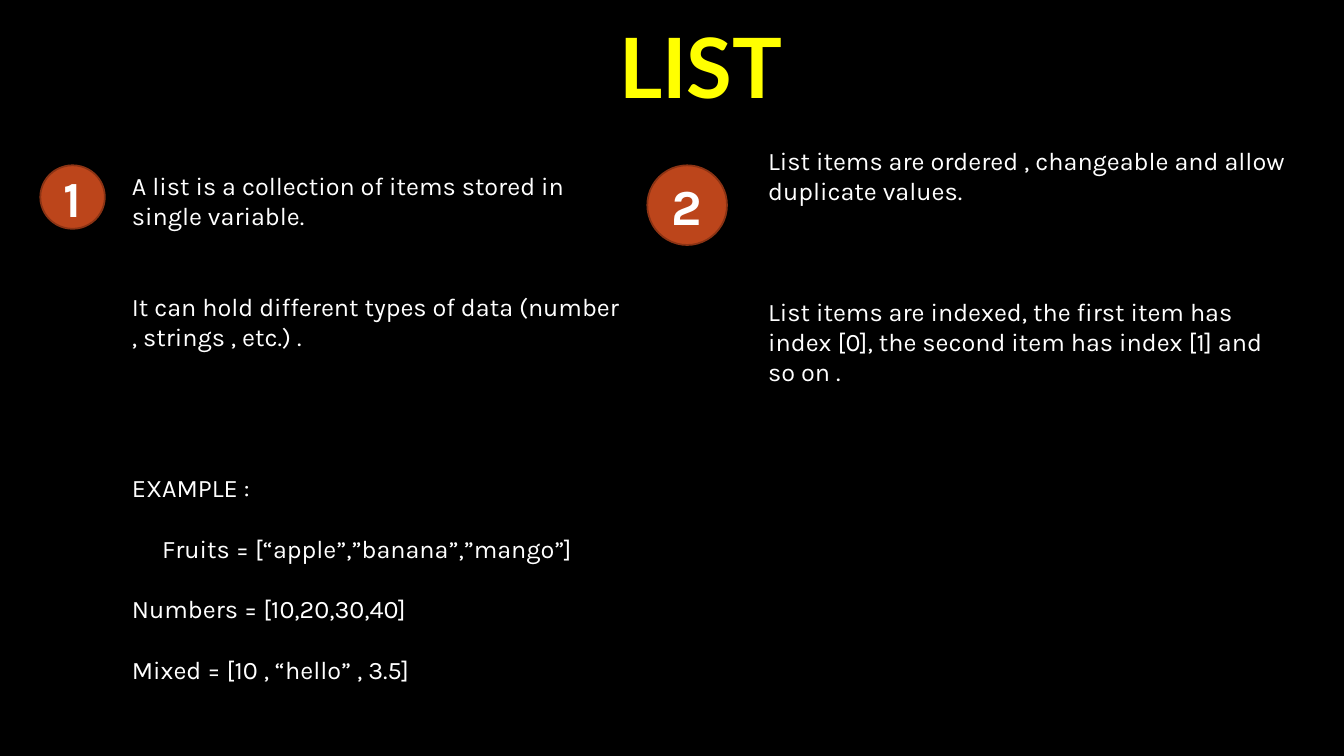
"""Builds the slide that introduces lists, with two numbered columns and examples."""
from pptx import Presentation
from pptx.dml.color import RGBColor
from pptx.enum.shapes import MSO_SHAPE as Shape
from pptx.enum.text import MSO_ANCHOR as Anchor, PP_ALIGN as Align
from pptx.util import Inches, Pt

LINE_PITCH = 21.6


def color(value):
    return RGBColor.from_string(value)


def write(paragraph, text, size=18, font="Karla", fill="FFFFFF", bold=False,
          align=Align.LEFT, lines_before=0, indent=0):
    paragraph.alignment = align
    paragraph.space_before = Pt(lines_before * LINE_PITCH)
    if indent:
        paragraph._p.get_or_add_pPr().set("marL", str(Inches(indent)))
    run = paragraph.add_run()
    run.text = text
    run.font.size = Pt(size)
    run.font.name = font
    run.font.bold = bold
    run.font.color.rgb = color(fill)


deck = Presentation()
deck.slide_width, deck.slide_height = Inches(13.33), Inches(7.5)
slide = deck.slides.add_slide(deck.slide_layouts[5])
slide.background.fill.solid()
slide.background.fill.fore_color.rgb = color("000000")

heading = slide.shapes.title
heading.left, heading.top = Inches(5.11), Inches(0)
heading.width, heading.height = Inches(3.68), Inches(1.3)
heading.text_frame.vertical_anchor = Anchor.MIDDLE
write(heading.text_frame.paragraphs[0], "LIST", size=59.4, font="Lato",
      fill="FFFF00", bold=True, align=Align.CENTER)

columns = [
    ((1.21, 1.64, 5.06, 5.25), [
        ("A list is a collection of items stored in single variable.", 0, 0),
        ("It can hold different types of data (number , strings , etc.) .", 2, 0),
        ("EXAMPLE :", 4, 0),
        ("Fruits = [“apple”,”banana”,”mango”]", 1, 0.3),
        ("Numbers = [10,20,30,40]", 1, 0),
        ("Mixed = [10 , “hello” , 3.5]", 1, 0),
    ]),
    ((7.52, 1.39, 5.39, 3.43), [
        ("List items are ordered , changeable and allow duplicate values.", 0, 0),
        ("List items are indexed, the first item has index [0], "
         "the second item has index [1] and so on .", 3, 0),
    ]),
]
for place, points in columns:
    column = slide.shapes.add_textbox(*map(Inches, place)).text_frame
    column.word_wrap = True
    for index, (text, lines_before, indent) in enumerate(points):
        paragraph = column.add_paragraph() if index else column.paragraphs[0]
        write(paragraph, text, lines_before=lines_before, indent=indent)

badges = [("1", (0.4, 1.64, 0.64, 0.63)), ("2", (6.42, 1.64, 0.79, 0.79))]
for number, place in badges:
    badge = slide.shapes.add_shape(Shape.OVAL, *map(Inches, place))
    badge.shadow.inherit = False
    badge.fill.solid()
    badge.fill.fore_color.rgb = color("BC451B")
    badge.line.color.rgb = color("8B3314")
    badge.line.width = Pt(1.25)
    label = badge.text_frame
    label.margin_left = label.margin_right = Inches(0)
    label.vertical_anchor = Anchor.MIDDLE
    write(label.paragraphs[0], number, size=36, bold=True, align=Align.CENTER)

deck.save("out.pptx")
